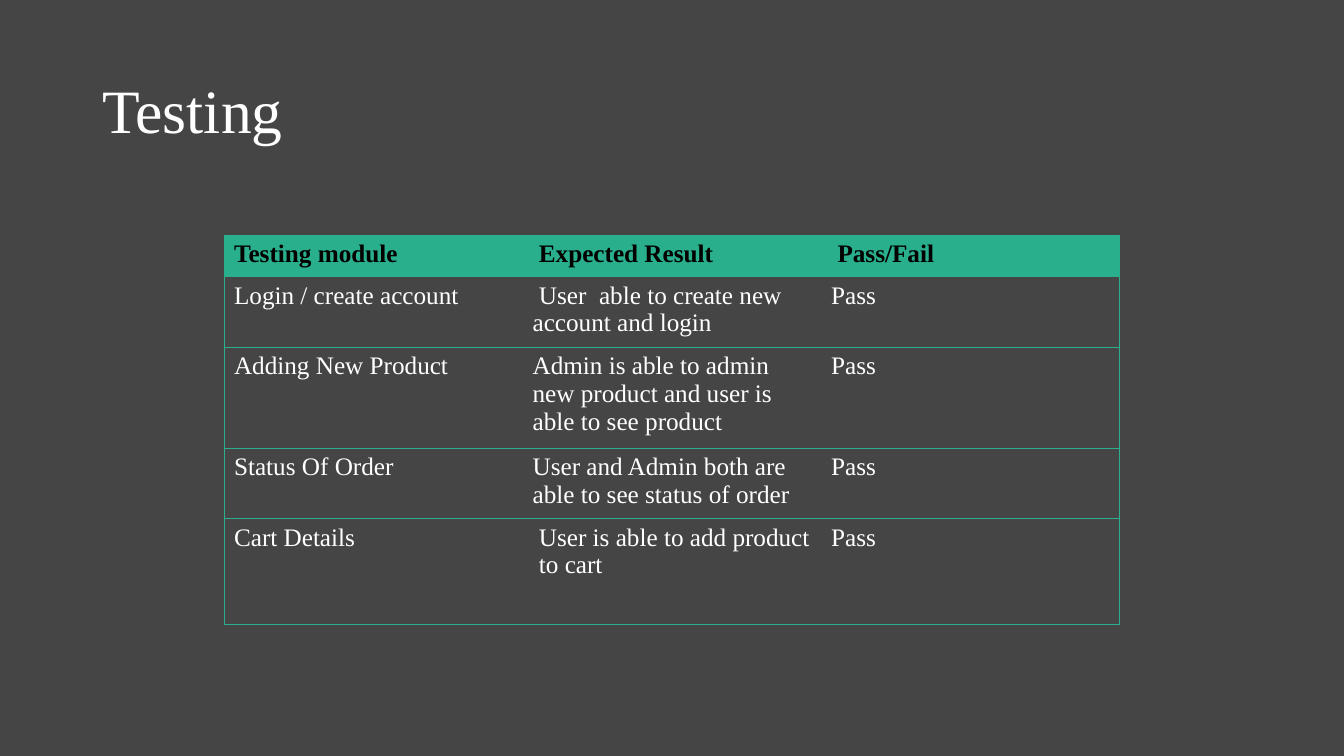
import dataclasses

import lxml.etree
import pptx
import pptx.dml.color
import pptx.enum.text
import pptx.oxml.ns
import pptx.util

Pt = pptx.util.Pt
FONT = "Times New Roman"
COLORS = {"background": "454545", "accent": "29AF8C", "light": "FFFFFF", "dark": "000000"}


@dataclasses.dataclass
class TestRow:
    cells: tuple[str, str, str]
    height: float
    header: bool = False


ROWS = [
    TestRow(("Testing module", " Expected Result", " Pass/Fail"), 29.5, True),
    TestRow(("Login / create account", " User  able to create new account and login ", "Pass"), 47),
    TestRow(("Adding New Product ",
             "Admin is able to admin new product and user is able to see product", "Pass"), 66.5),
    TestRow(("Status Of Order", "User and Admin both are able to see status of order", "Pass"), 47),
    TestRow(("Cart Details", " User is able to add product  to cart", "Pass"), 75.5),
]
COLUMN_WIDTH = 213.3


def rgb(name: str) -> pptx.dml.color.RGBColor:
    return pptx.dml.color.RGBColor.from_string(COLORS[name])


def style(p, size: float, color: str, bold: bool = False) -> None:
    p.font.name = FONT
    p.font.size = Pt(size)
    p.font.bold = bold
    p.font.color.rgb = rgb(color)


def set_borders(cell, sides: str) -> None:
    qn = pptx.oxml.ns.qn
    props = cell._tc.get_or_add_tcPr()
    for side in "LRTB":
        line = lxml.etree.SubElement(props, qn(f"a:ln{side}"), w=str(Pt(0.5)))
        if side in sides:
            fill = lxml.etree.SubElement(line, qn("a:solidFill"))
            lxml.etree.SubElement(fill, qn("a:srgbClr"), val=COLORS["accent"])
        else:
            lxml.etree.SubElement(line, qn("a:noFill"))


def add_title(s, text: str) -> None:
    sp = s.shapes.add_textbox(Pt(66), Pt(28.75), Pt(828), Pt(104.4))
    tf = sp.text_frame
    tf.word_wrap = True
    tf.vertical_anchor = pptx.enum.text.MSO_ANCHOR.MIDDLE
    p = tf.paragraphs[0]
    p.text = text
    p.line_spacing = 0.9
    style(p, 44, "light")


def add_test_table(s, rows: list[TestRow]) -> None:
    columns = len(rows[0].cells)
    frame = s.shapes.add_table(len(rows), columns, Pt(160), Pt(168), Pt(columns * COLUMN_WIDTH),
                               Pt(sum(row.height for row in rows)))
    table = frame.table
    table.horz_banding = False
    table.first_row = False
    for column in table.columns:
        column.width = Pt(COLUMN_WIDTH)
    for i, row in enumerate(rows):
        table.rows[i].height = Pt(row.height)
        for j, text in enumerate(row.cells):
            cell = table.cell(i, j)
            set_borders(cell, "TB" + "L" * (j == 0) + "R" * (j == columns - 1))
            if row.header:
                cell.fill.solid()
                cell.fill.fore_color.rgb = rgb("accent")
            else:
                cell.fill.background()
            p = cell.text_frame.paragraphs[0]
            p.text = text
            style(p, 18, "dark" if row.header else "light", row.header)


prs = pptx.Presentation()
prs.slide_width, prs.slide_height = Pt(960), Pt(540)
s = prs.slides.add_slide(prs.slide_layouts[6])
s.background.fill.solid()
s.background.fill.fore_color.rgb = rgb("background")
add_title(s, "Testing ")
add_test_table(s, ROWS)
prs.save("out.pptx")
